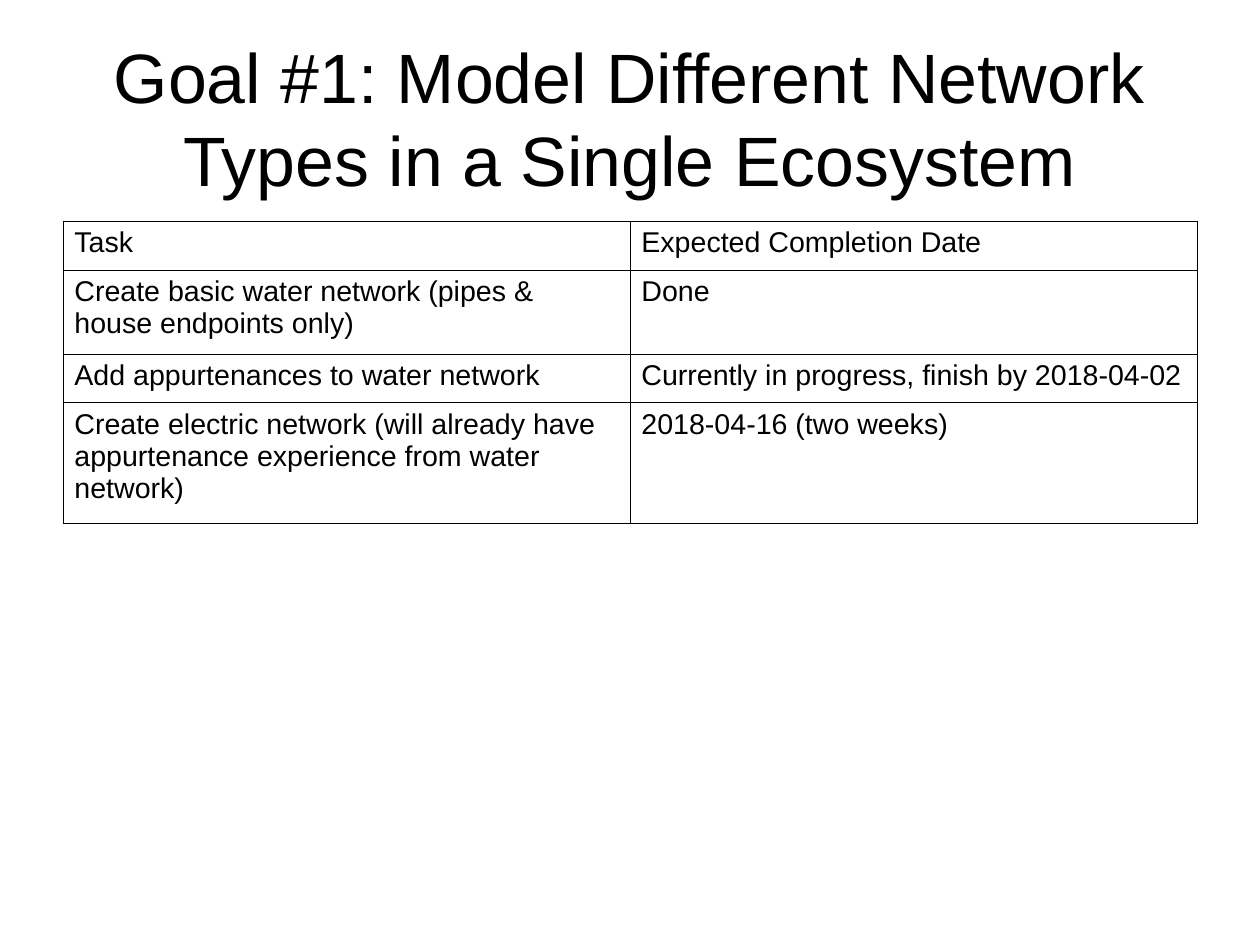
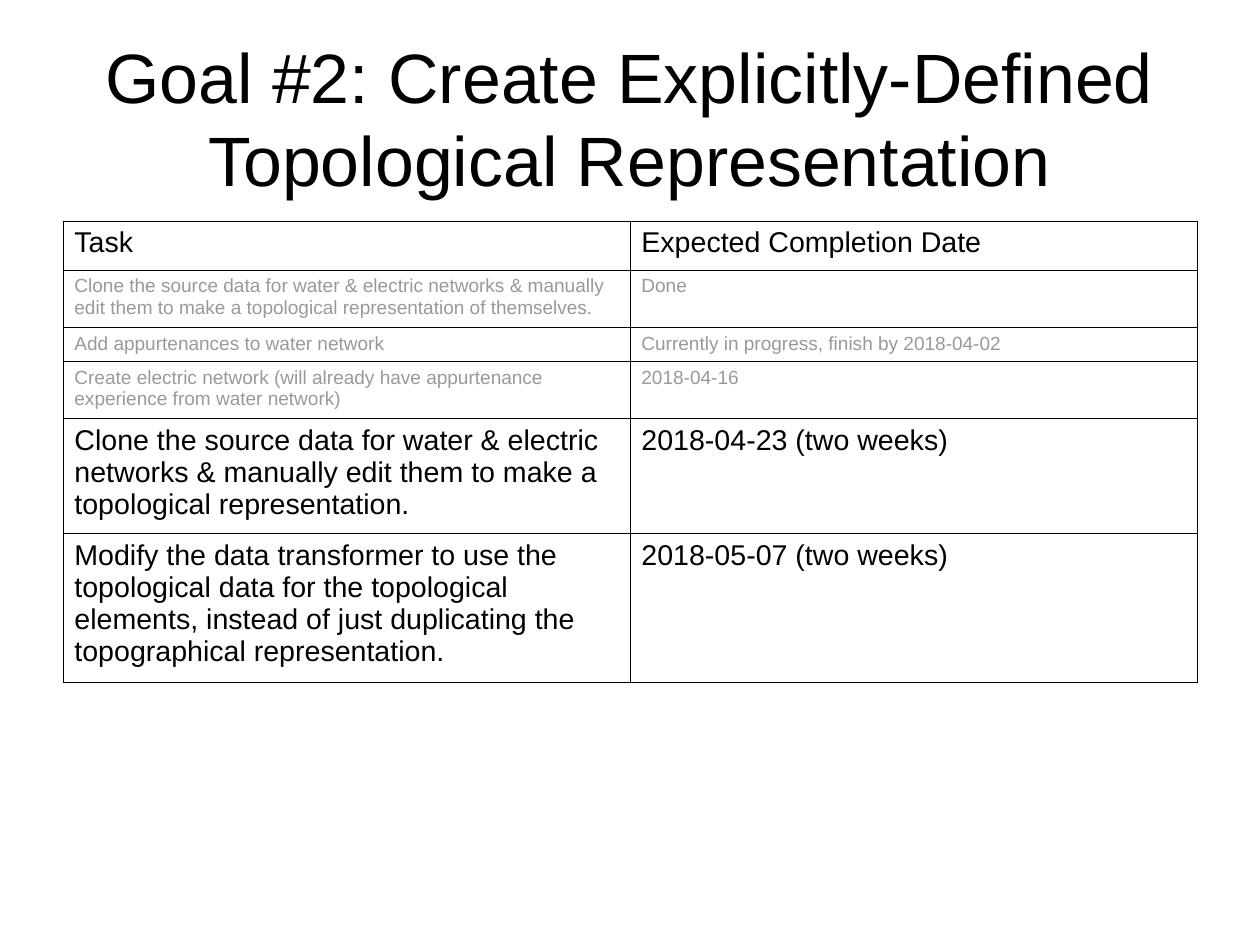
from dataclasses import dataclass

from lxml import etree
from pptx import Presentation
from pptx.dml.color import RGBColor
from pptx.enum.text import MSO_ANCHOR, PP_ALIGN
from pptx.oxml.ns import qn
from pptx.util import Pt

CENTER = PP_ALIGN.CENTER
MIDDLE = MSO_ANCHOR.MIDDLE
PX = 8000  # EMU in one px
BLANK_LAYOUT = 6


@dataclass(frozen=True)
class Theme:
    font: str = "Arial"
    ink: str = "000000"
    muted: str = "999999"
    title_size: int = 44
    body_size: int = 18
    muted_size: int = 12
    border_width: float = 0.57


THEME = Theme()
SLIDE_WIDTH, SLIDE_HEIGHT = 1260, 945
MARGIN = 63
CONTENT_WIDTH = SLIDE_WIDTH - 2 * MARGIN
TITLE_TOP, TITLE_HEIGHT = 38, 158
TABLE_TOP = 221
HEADER = (49, False, "Task", "Expected Completion Date")

# Each row: height in px, muted, task, date
GOALS = [
    ("Goal #1: Model Different Network Types in a Single Ecosystem", [
        HEADER,
        (84, False, "Create basic water network (pipes & house endpoints only)", "Done"),
        (49, False, "Add appurtenances to water network",
         "Currently in progress, finish by 2018-04-02"),
        (121, False, "Create electric network (will already have appurtenance "
         "experience from water network)", "2018-04-16 (two weeks)"),
    ]),
    ("Goal #2: Create Explicitly-Defined Topological Representation", [
        HEADER,
        (57, True, "Clone the source data for water & electric networks & manually "
         "edit them to make a topological representation of themselves.", "Done"),
        (34, True, "Add appurtenances to water network",
         "Currently in progress, finish by 2018-04-02"),
        (57, True, "Create electric network (will already have appurtenance "
         "experience from water network)", "2018-04-16"),
        (115, False, "Clone the source data for water & electric networks & manually "
         "edit them to make a topological representation.", "2018-04-23 (two weeks)"),
        (148, False, "Modify the data transformer to use the topological data for the "
         "topological elements, instead of just duplicating the topographical "
         "representation.", "2018-05-07 (two weeks)"),
    ]),
]


def write_text(text_frame, text, size, color):
    text_frame.text = text
    font = text_frame.paragraphs[0].runs[0].font
    font.name = THEME.font
    font.size = Pt(size)
    font.color.rgb = RGBColor.from_string(color)


def add_borders(cell):
    properties = cell._tc.get_or_add_tcPr()
    for side in ("a:lnL", "a:lnR", "a:lnT", "a:lnB"):
        line = etree.SubElement(properties, qn(side), w=str(Pt(THEME.border_width)))
        fill = etree.SubElement(line, qn("a:solidFill"))
        etree.SubElement(fill, qn("a:srgbClr"), val=THEME.ink)


presentation = Presentation()
presentation.slide_width = SLIDE_WIDTH * PX
presentation.slide_height = SLIDE_HEIGHT * PX

for title, rows in GOALS:
    slide = presentation.slides.add_slide(presentation.slide_layouts[BLANK_LAYOUT])

    title_box = slide.shapes.add_textbox(
        MARGIN * PX, TITLE_TOP * PX, CONTENT_WIDTH * PX, TITLE_HEIGHT * PX)
    title_frame = title_box.text_frame
    title_frame.word_wrap = True
    title_frame.vertical_anchor = MIDDLE
    title_frame.margin_left = title_frame.margin_right = 0
    title_frame.margin_top = title_frame.margin_bottom = 0
    write_text(title_frame, title, THEME.title_size, THEME.ink)
    title_frame.paragraphs[0].alignment = CENTER

    table_height = sum(row[0] for row in rows)
    table = slide.shapes.add_table(
        len(rows), 2, MARGIN * PX, TABLE_TOP * PX,
        CONTENT_WIDTH * PX, table_height * PX).table
    table.first_row = False
    table.horz_banding = False

    for row, (height, muted, *texts) in zip(table.rows, rows):
        row.height = height * PX
        size = THEME.muted_size if muted else THEME.body_size
        color = THEME.muted if muted else THEME.ink
        for cell, text in zip(row.cells, texts):
            write_text(cell.text_frame, text, size, color)
            add_borders(cell)
            cell.fill.background()

presentation.save("out.pptx")
